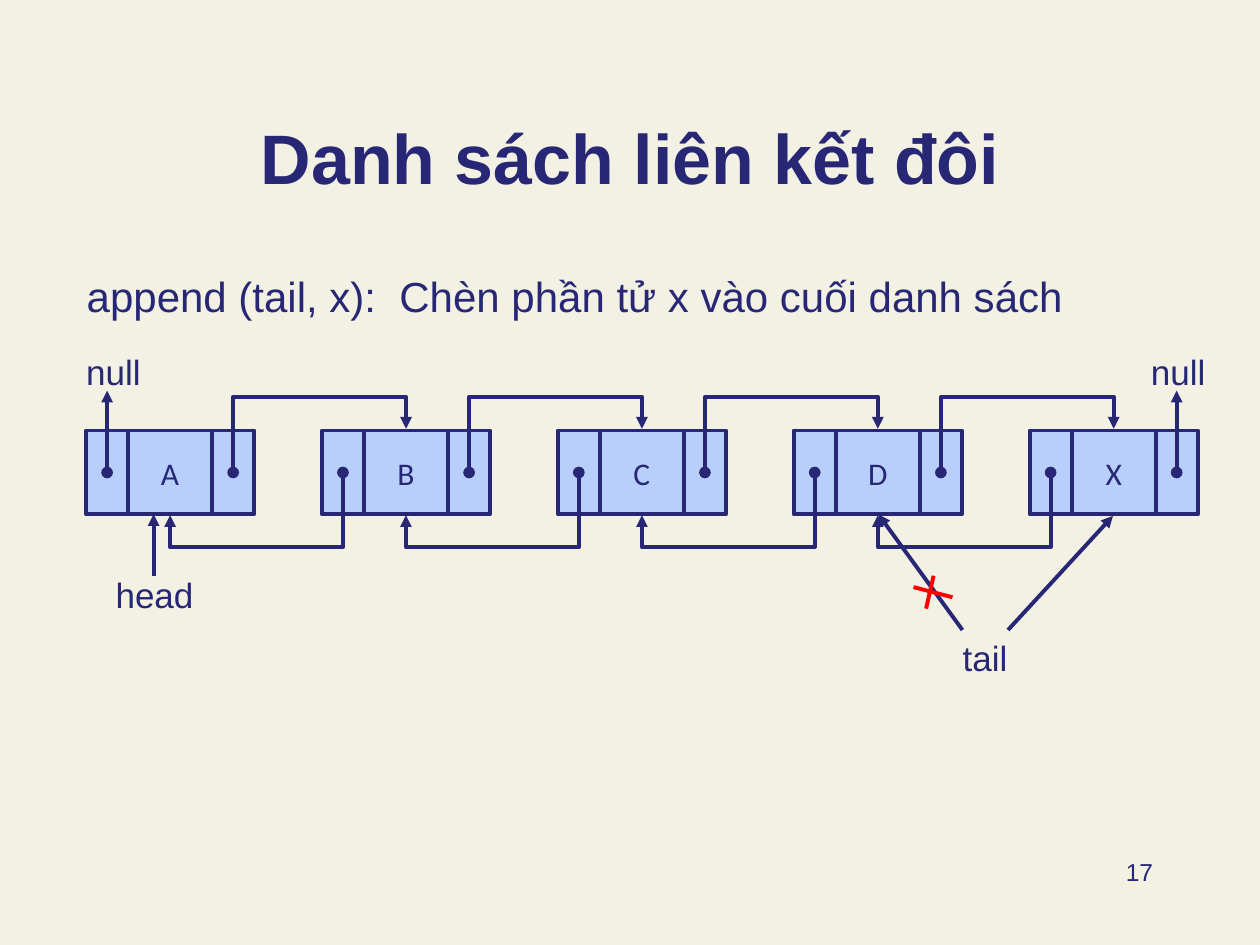
from dataclasses import dataclass

from lxml.etree import SubElement
from pptx import Presentation
from pptx.dml.color import RGBColor
from pptx.enum.shapes import MSO_CONNECTOR, MSO_SHAPE
from pptx.enum.text import MSO_ANCHOR, PP_ALIGN
from pptx.oxml.ns import qn
from pptx.util import Pt


@dataclass(frozen=True)
class Theme:
    paper: RGBColor = RGBColor.from_string("F3F1E4")
    ink: RGBColor = RGBColor.from_string("272776")
    cell: RGBColor = RGBColor.from_string("B8CFFB")
    cross: RGBColor = RGBColor.from_string("FF0000")
    font: str = "Arial"
    node_font: str = "Calibri"
    title_size: float = 40
    body_size: float = 24
    label_size: float = 20
    node_size: float = 18
    number_size: float = 14
    stroke: float = 2.25


THEME = Theme()
TITLE = "Danh sách liên kết đôi"
BODY = "append (tail, x):  Chèn phần tử x vào cuối danh sách"
NUMBER = "17"
NODES = ["A", "B", "C", "D", "X"]
LABELS = [
    ("null", 41.8, 196.6, 46),
    ("null", 650.2, 196.6, 46),
    ("head", 58.3, 324, 60),
    ("tail", 542.9, 360, 40),
]
POINTERS = [
    ((87.8, 329), (87.8, 293.8)),
    ((550, 360), (502, 294)),
    ((576, 360), (636, 294.8)),
]
CROSS = [((522, 335.5), (544.3, 341.3)), ((533.5, 329), (529.2, 347.8))]

LEFT, TOP, PITCH = 49.2, 246, 134.8
LINK, VALUE, HEIGHT = 24, 48, 48
CENTER = LINK + VALUE / 2
DOT_Y = TOP + HEIGHT / 2
NULL_Y = 223.2
NEXT_TIP, PREVIOUS_TIP = 245, 294.4
NEXT_BEND, PREVIOUS_BEND = 1.73, 1.75


def write(frame, text, size, align, anchor=MSO_ANCHOR.TOP, font=THEME.font, bold=False):
    frame.text = text
    frame.vertical_anchor = anchor
    para = frame.paragraphs[0]
    para.alignment = align
    span = para.runs[0]
    span.font.size = Pt(size)
    span.font.name = font
    span.font.bold = bold
    span.font.color.rgb = THEME.ink


def add_text(page, text, place, size, align, wrap=True, **style):
    box = page.shapes.add_textbox(*map(Pt, place))
    box.text_frame.word_wrap = wrap
    write(box.text_frame, text, size, align, **style)


def add_cell(page, left, width, text=None):
    cell = page.shapes.add_shape(MSO_SHAPE.RECTANGLE, Pt(left), Pt(TOP), Pt(width), Pt(HEIGHT))
    cell.shadow.inherit = False
    cell.fill.solid()
    cell.fill.fore_color.rgb = THEME.cell
    cell.line.color.rgb = THEME.ink
    cell.line.width = Pt(THEME.stroke)
    if text:
        write(cell.text_frame, text, THEME.node_size, PP_ALIGN.CENTER,
              MSO_ANCHOR.MIDDLE, THEME.node_font)


def add_line(page, start, end, color=THEME.ink, dot=False, arrow=True, kind=MSO_CONNECTOR.STRAIGHT):
    line = page.shapes.add_connector(kind, *map(Pt, start + end))
    line.line.color.rgb = color
    line.line.width = Pt(THEME.stroke)
    properties = line.element.spPr
    outline = properties.find(qn("a:ln"))
    if dot:
        SubElement(outline, qn("a:headEnd"), type="oval")
    if arrow:
        SubElement(outline, qn("a:tailEnd"), type="triangle")
    SubElement(properties, qn("a:effectLst"))
    return line


def add_bent_link(page, start, end, bend):
    line = add_line(page, start, end, dot=True, kind=MSO_CONNECTOR.ELBOW)
    properties = line.element.spPr
    if end[1] < start[1]:
        frame = properties.find(qn("a:xfrm"))
        frame.attrib.pop("flipV")
        frame.set("flipH", "1")
        frame.set("rot", "10800000")
    geometry = properties.find(qn("a:prstGeom"))
    geometry.set("prst", "bentConnector4")
    guides = geometry.find(qn("a:avLst"))
    for name, ratio in (("adj1", 0), ("adj2", bend)):
        SubElement(guides, qn("a:gd"), name=name, fmla=f"val {round(ratio * 100000)}")


def add_list(page):
    lefts = [LEFT + PITCH * index for index in range(len(NODES))]
    for left, name in zip(lefts, NODES):
        add_cell(page, left + LINK, VALUE, name)
        add_cell(page, left + LINK + VALUE, LINK)
        add_cell(page, left, LINK)
    previous_dot, next_dot = LINK / 2, LINK * 1.5 + VALUE
    for left, following in zip(lefts, lefts[1:]):
        add_bent_link(page, (left + next_dot, DOT_Y), (following + CENTER, NEXT_TIP), NEXT_BEND)
        add_bent_link(page, (following + previous_dot, DOT_Y), (left + CENTER, PREVIOUS_TIP),
                      PREVIOUS_BEND)
    for x in (lefts[0] + previous_dot, lefts[-1] + next_dot):
        add_line(page, (x, DOT_Y), (x, NULL_Y), dot=True)


def main():
    deck = Presentation()
    deck.slide_width, deck.slide_height = Pt(720), Pt(540)
    page = deck.slides.add_slide(deck.slide_layouts[6])
    page.background.fill.solid()
    page.background.fill.fore_color.rgb = THEME.paper
    add_text(page, TITLE, (54, 38.9, 612, 77.8), THEME.title_size, PP_ALIGN.CENTER,
             anchor=MSO_ANCHOR.BOTTOM, bold=True)
    add_text(page, BODY, (42.5, 151.2, 623.5, 340.6), THEME.body_size, PP_ALIGN.LEFT)
    add_text(page, NUMBER, (516.2, 486, 149.8, 36), THEME.number_size, PP_ALIGN.RIGHT)
    add_list(page)
    for text, left, top, width in LABELS:
        add_text(page, text, (left, top, width, 31.7), THEME.label_size, PP_ALIGN.CENTER, wrap=False)
    for start, end in POINTERS:
        add_line(page, start, end)
    for start, end in CROSS:
        add_line(page, start, end, THEME.cross, arrow=False)
    deck.save("out.pptx")


if __name__ == "__main__":
    main()
